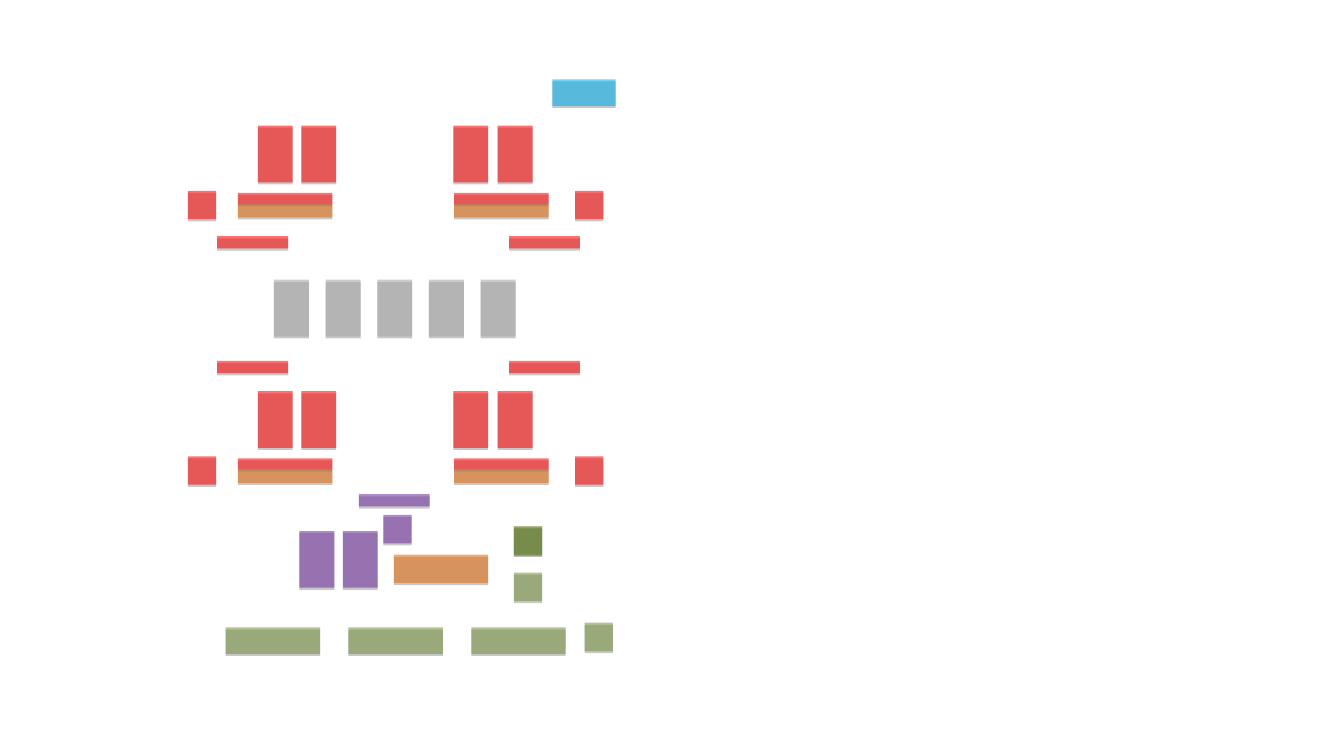
"""Build a floor plan of translucent coloured blocks with short drop shadows."""
from lxml import etree
from pptx import Presentation
from pptx.dml.color import RGBColor
from pptx.enum import shapes
from pptx.oxml import parse_xml
from pptx.oxml.ns import nsdecls, qn
from pptx.util import Inches

RED, ORANGE, PURPLE = "FF0000", "E46C0A", "7030A0"
GREY, GREEN, BLUE = "A6A6A6", "77933C", "00B0F0"
SQUARE, PANEL, BAR = (0.3, 0.3), (0.37, 0.6), (0.75, 0.13)
SHADOW = (
    f'<a:outerShdw {nsdecls("a")} blurRad="0" dist="20000" dir="5400000" rotWithShape="0">'
    '<a:srgbClr val="000000"><a:alpha val="38000"/></a:srgbClr></a:outerShdw>'
)


def colour(value):
    return RGBColor.from_string(value)


def add_block(left, top, size, fill):
    block = slide.shapes.add_shape(
        shapes.MSO_SHAPE.RECTANGLE, *map(Inches, (left, top, *size)))
    block.fill.solid()
    block.fill.fore_color.rgb = colour(fill)
    fill_value = block.fill._xPr.find(qn("a:solidFill"))[0]
    etree.SubElement(fill_value, qn("a:alpha"), val="56000")
    block.line.fill.background()
    block.shadow.inherit = False
    block._element.spPr.find(qn("a:effectLst")).append(parse_xml(SHADOW))


deck = Presentation()
deck.slide_width, deck.slide_height = Inches(14.23), Inches(8)
slide = deck.slides.add_slide(deck.slide_layouts[6])

purple_station = [
    (4.06, 5.45, SQUARE, PURPLE),
    (4.17, 5.87, (1, 0.3), ORANGE),
    (3.8, 5.23, BAR, PURPLE),
    (3.63, 5.62, PANEL, PURPLE),
    (3.17, 5.62, PANEL, PURPLE),
]
for station_part in purple_station:
    add_block(*station_part)

for column in range(5):
    add_block(2.9 + 0.5475 * column, 2.96, PANEL, GREY)

red_sides = [
    {"square": 1.99, "bar": 2.3, "desk": 2.52, "panels": (2.73, 3.19)},
    {"square": 6.09, "bar": 5.39, "desk": 4.81, "panels": (4.8, 5.27)},
]
for station_top, bar_top in [(1.33, 2.5), (4.14, 3.82)]:
    for side in red_sides:
        add_block(side["square"], station_top + 0.69, SQUARE, RED)
        add_block(side["bar"], bar_top, BAR, RED)
        add_block(side["desk"], station_top + 0.83, (1, 0.14), ORANGE)
        add_block(side["desk"], station_top + 0.71, (1, 0.12), RED)
        for panel_left in side["panels"]:
            add_block(panel_left, station_top, PANEL, RED)

for column in range(3):
    add_block(2.39 + 1.3 * column, 6.64, (1, 0.28), GREEN)
for left, top in [(5.44, 5.57), (5.44, 5.57), (5.44, 6.06), (6.19, 6.59)]:
    add_block(left, top, SQUARE, GREEN)

add_block(5.85, 0.84, (0.67, 0.28), BLUE)

deck.save("out.pptx")
